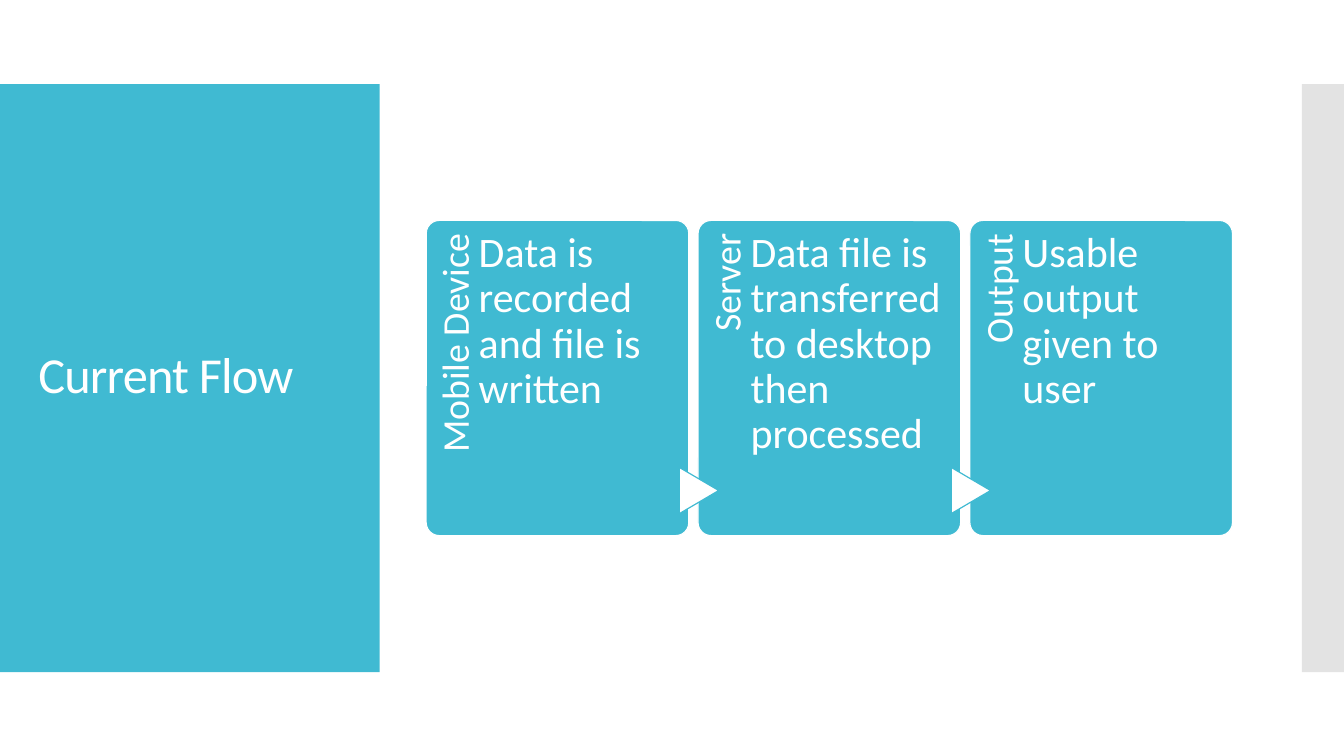
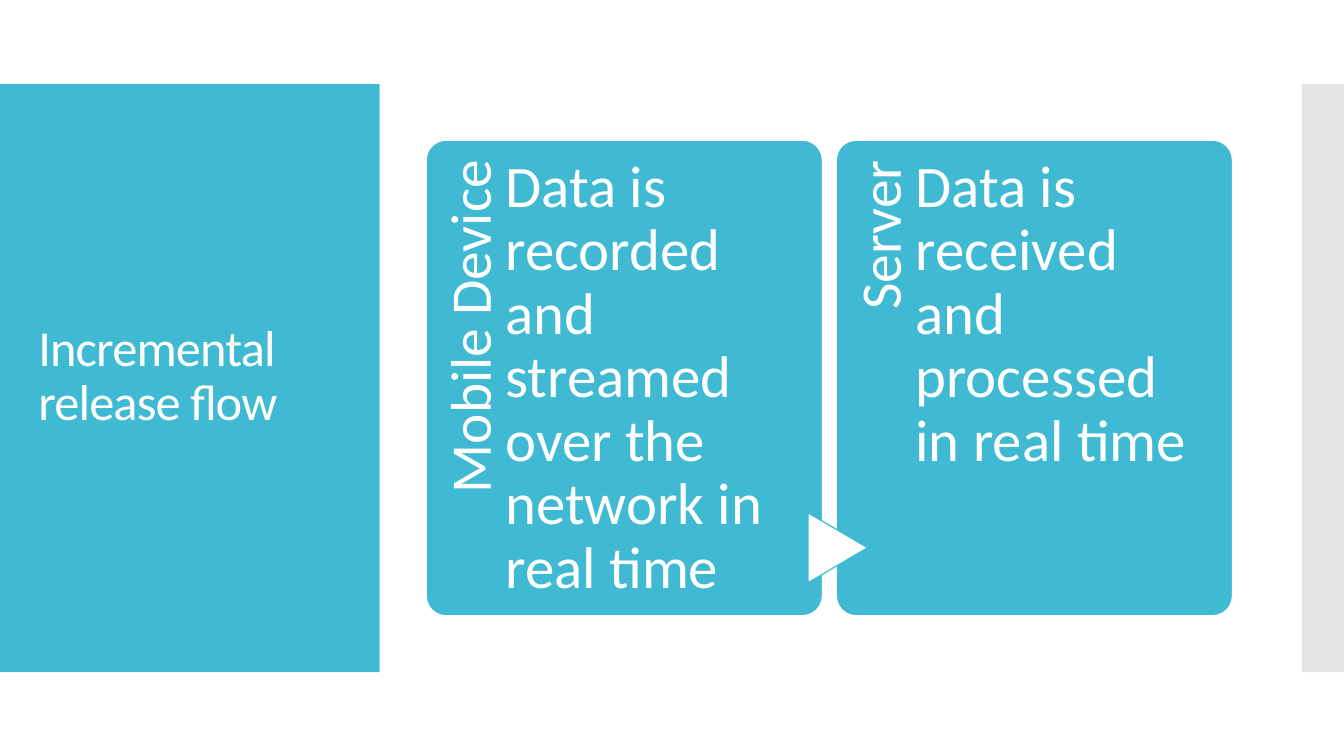
from dataclasses import dataclass

from lxml.etree import SubElement
from pptx import Presentation
from pptx.dml.color import RGBColor
from pptx.enum.shapes import MSO_SHAPE
from pptx.enum.text import MSO_ANCHOR, MSO_AUTO_SIZE, PP_ALIGN
from pptx.oxml.ns import qn
from pptx.util import Cm, Pt

FLOWS = [
    {
        "title": "Current Flow",
        "label_size": 27,
        "body_size": 30,
        "steps": [
            ("Mobile Device", "Data is recorded and file is written"),
            ("Server", "Data file is transferred to desktop then processed"),
            ("Output", "Usable output given to user"),
        ],
    },
    {
        "title": "Incremental release flow",
        "label_size": 41,
        "body_size": 42,
        "steps": [
            ("Mobile Device",
             "Data is recorded and streamed over the network in real time"),
            ("Server", "Data is received and processed in real time"),
        ],
    },
]


@dataclass(frozen=True)
class Theme:
    accent: RGBColor = RGBColor(0x40, 0xBA, 0xD2)
    light: RGBColor = RGBColor(0xFF, 0xFF, 0xFF)
    edge: RGBColor = RGBColor(0xC8, 0xC8, 0xC8)
    font: str = "Calibri"
    title_size: int = 36
    line_width: float = 0.85
    line_spacing: float = 0.9


THEME = Theme()
SLIDE_WIDTH, SLIDE_HEIGHT = Cm(33.87), Cm(19.05)
BAND_TOP, BAND_HEIGHT = Cm(2.12), Cm(14.82)
TITLE_AREA = {"left": Cm(0.71), "top": Cm(3.12),
              "width": Cm(8.18), "height": Cm(12.78)}
FLOW_LEFT, FLOW_WIDTH = Cm(10.74), Cm(20.32)

# Shares of the card width
GAP, CARD_HEIGHT, STRIP, BODY_WIDTH = 0.035, 1.2, 0.2, 0.745
ARROW_BASE, ARROW_LENGTH = 0.176, 0.15
# Shares of the card height
LABEL_LENGTH, ARROW_CENTER = 0.82, 0.857


def apply(target, values):
    for name, value in values.items():
        setattr(target, name, value)


def add_panel(page, kind, area, fill, line=None):
    panel = page.shapes.add_shape(kind, *(int(length) for length in area))
    panel.shadow.inherit = False
    panel.fill.solid()
    panel.fill.fore_color.rgb = fill
    if line is None:
        panel.line.fill.background()
    else:
        panel.line.color.rgb = line
        panel.line.width = Pt(THEME.line_width)
    return panel


def write(box, text, size, align=PP_ALIGN.LEFT, **frame_values):
    frame = box.text_frame
    apply(frame, {"word_wrap": True, "auto_size": MSO_AUTO_SIZE.NONE,
                  **frame_values})
    para = frame.paragraphs[0]
    apply(para, {"alignment": align, "line_spacing": THEME.line_spacing})
    span = para.add_run()
    span.text = text
    apply(span.font, {"name": THEME.font, "size": Pt(size)})
    span.font.color.rgb = THEME.light
    return span


def add_text(page, area, text, size, rotation=0, **values):
    box = page.shapes.add_textbox(*(int(length) for length in area))
    box.rotation = rotation
    write(box, text, size, margin_left=0, margin_bottom=0,
          vertical_anchor=MSO_ANCHOR.TOP, **values)


def move_bands_to_layout(page, layout):
    """Draw both side bands and hand them to the layout, behind every title."""
    for holder in list(layout.placeholders):
        if holder.placeholder_format.idx:
            holder.element.getparent().remove(holder.element)
    edge_left = Cm(32.81)
    bands = [(0, Cm(9.57), THEME.accent, 100),
             (edge_left, SLIDE_WIDTH - edge_left, THEME.edge, 50)]
    for left, width, color, opacity in bands:
        band = add_panel(page, MSO_SHAPE.RECTANGLE,
                         (left, BAND_TOP, width, BAND_HEIGHT), color)
        if opacity < 100:
            tint = band.element.spPr.find(".//" + qn("a:srgbClr"))
            SubElement(tint, qn("a:alpha"), val=str(opacity * 1000))
        layout.shapes.element.append(band.element)


def add_title(page, text):
    title = page.shapes.title
    apply(title, TITLE_AREA)
    span = write(title, text, THEME.title_size,
                 vertical_anchor=MSO_ANCHOR.MIDDLE)
    span.font._element.set("spc", "-60")


def add_flow(page, flow):
    steps = flow["steps"]
    width = FLOW_WIDTH / (len(steps) + GAP * (len(steps) - 1))
    height = width * CARD_HEIGHT
    top = (SLIDE_HEIGHT - height) / 2
    strip, label_length = width * STRIP, height * LABEL_LENGTH
    base, length = width * ARROW_BASE, width * ARROW_LENGTH

    for index, (label, body) in enumerate(steps):
        left = FLOW_LEFT + index * width * (1 + GAP)
        card = add_panel(page, MSO_SHAPE.ROUNDED_RECTANGLE,
                         (left, top, width, height), THEME.accent, THEME.light)
        card.adjustments[0] = 0.05
        # A turned label is placed by its unturned frame around the same centre
        add_text(page, (left + (strip - label_length) / 2,
                        top + (label_length - strip) / 2, label_length, strip),
                 label, flow["label_size"], rotation=270, align=PP_ALIGN.RIGHT,
                 margin_top=int(width * 0.038), margin_right=int(width * 0.05))
        if index:
            arrow = add_panel(page, MSO_SHAPE.FLOWCHART_EXTRACT,
                              (left + width * 0.004 - base / 2,
                               top + height * ARROW_CENTER - length / 2,
                               base, length), THEME.light, THEME.accent)
            arrow.rotation = 90
        add_text(page, (left + strip, top, width * BODY_WIDTH, height),
                 body, flow["body_size"],
                 margin_top=int(width * 0.041), margin_right=0)


def main():
    deck = Presentation()
    apply(deck, {"slide_width": SLIDE_WIDTH, "slide_height": SLIDE_HEIGHT})
    layout = deck.slide_layouts.get_by_name("Title Only")
    for index, flow in enumerate(FLOWS):
        page = deck.slides.add_slide(layout)
        if index == 0:
            move_bands_to_layout(page, layout)
        add_title(page, flow["title"])
        add_flow(page, flow)
    deck.save("out.pptx")


if __name__ == "__main__":
    main()
